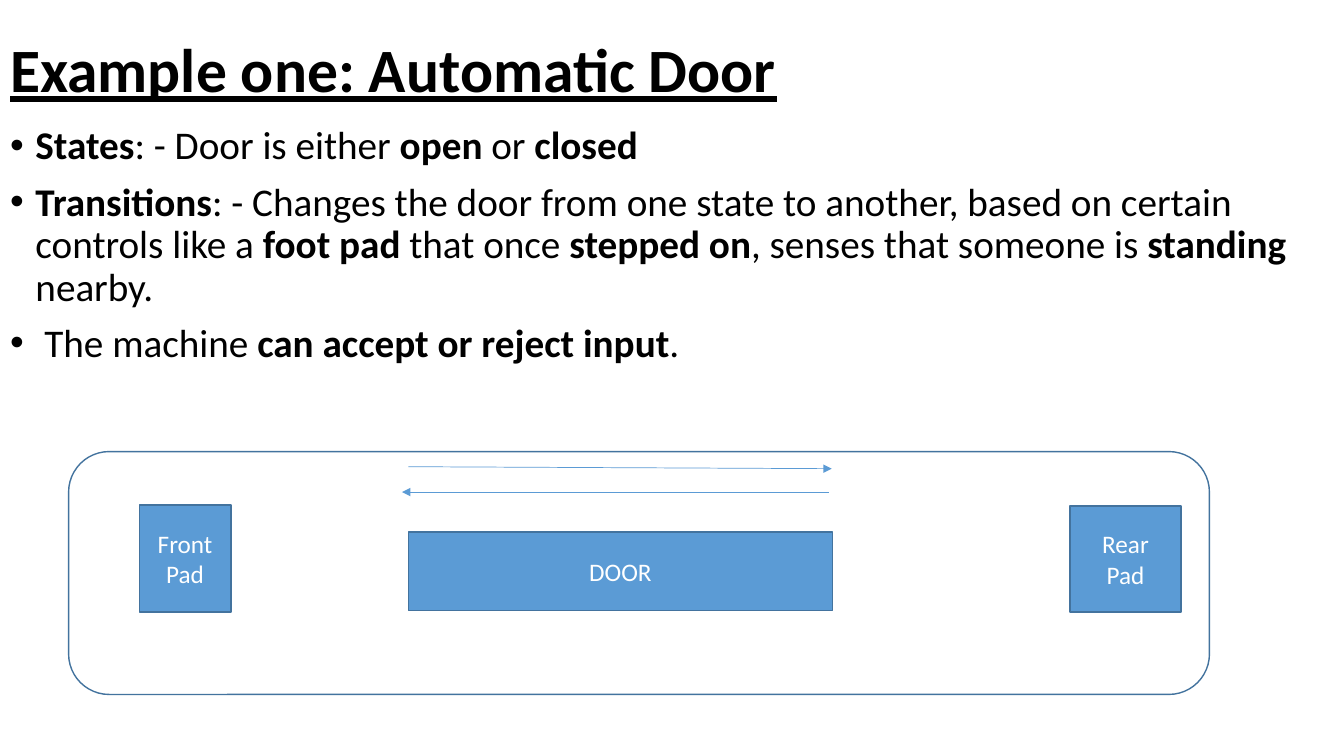
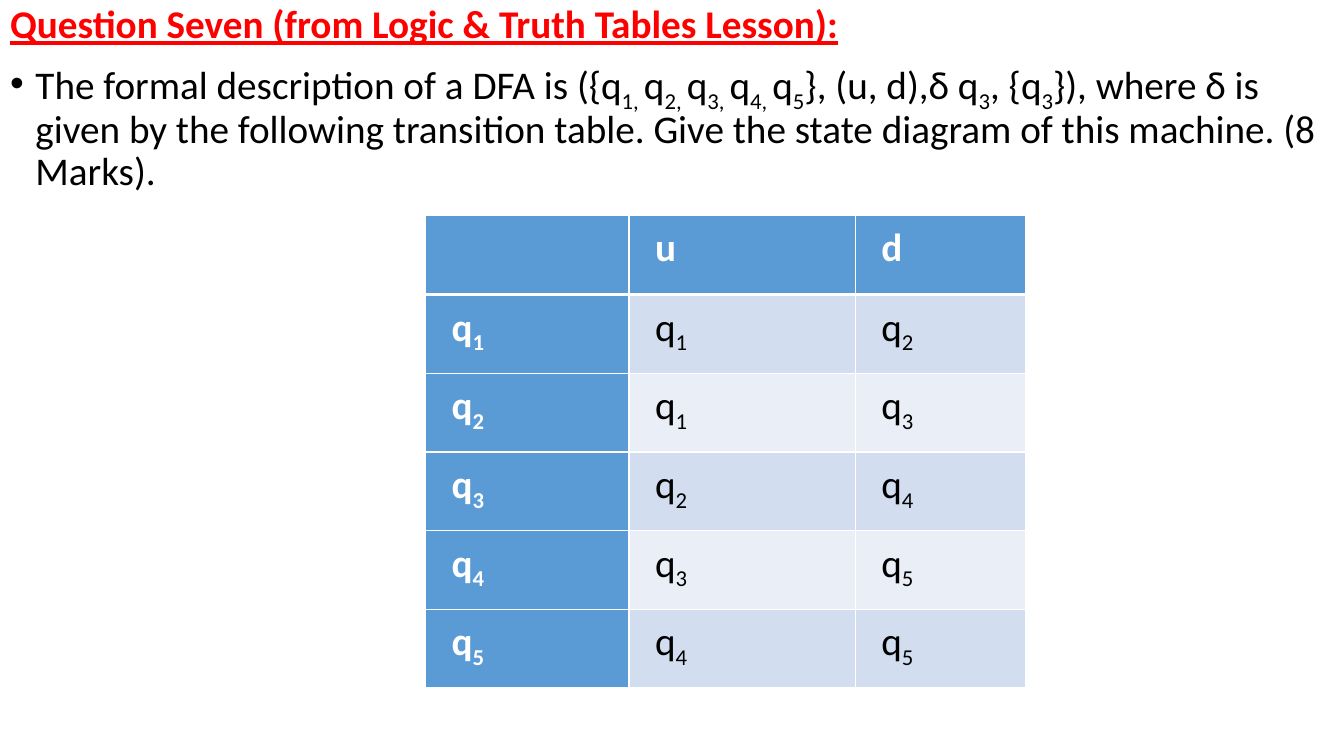
from dataclasses import dataclass
from enum import Enum

from lxml.etree import SubElement
from pptx import Presentation
from pptx.dml.color import RGBColor
from pptx.enum.shapes import MSO_CONNECTOR as Connector, MSO_SHAPE as Shape
from pptx.enum.text import MSO_ANCHOR as Anchor, MSO_AUTO_SIZE as AutoSize, PP_ALIGN as Align
from pptx.oxml.ns import qn
from pptx.util import Cm, Pt


@dataclass(frozen=True)
class Theme:
    font: str = "Calibri"
    black: str = "000000"
    white: str = "FFFFFF"
    red: str = "FF0000"
    blue: str = "5B9BD5"
    outline: str = "43739E"
    band_dark: str = "D2DEEF"
    band_light: str = "EAEFF7"
    title_size: int = 44
    body_size: int = 28
    label_size: int = 18


THEME = Theme()
WIDTH, HEIGHT = 33.87, 19.05


class Mark(Enum):
    BOLD = "bold"
    SUBSCRIPT = "subscript"


@dataclass(frozen=True)
class Box:
    left: float
    top: float
    width: float
    height: float

    def lengths(self):
        return Cm(self.left), Cm(self.top), Cm(self.width), Cm(self.height)


@dataclass(frozen=True)
class Block:
    box: Box
    label: str = ""
    kind: Shape = Shape.RECTANGLE
    filled: bool = True


@dataclass(frozen=True)
class Arrow:
    x1: float
    y1: float
    x2: float
    y2: float


@dataclass(frozen=True)
class Point:
    text: str
    mark: Mark = Mark.BOLD
    heading: bool = False


def rgb(value: str) -> RGBColor:
    return RGBColor.from_string(value)


def style(run, size: int, color: str, bold: bool = False, underline: bool = False) -> None:
    font = run.font
    font.name, font.size, font.bold, font.underline = THEME.font, Pt(size), bold, underline
    font.color.rgb = rgb(color)


def add_marked(p, text: str, mark: Mark, color: str, bold: bool = False) -> None:
    for i, part in enumerate(text.split("|")):
        if not part:
            continue
        r = p.add_run()
        r.text = part
        marked = i % 2 == 1
        style(r, THEME.body_size, color, bold or (marked and mark is Mark.BOLD))
        if marked and mark is Mark.SUBSCRIPT:
            r.font._element.set("baseline", "-25000")


def set_indent(p, left: float, first: float):
    p_pr = p._p.get_or_add_pPr()
    p_pr.set("marL", str(Cm(left)))
    p_pr.set("indent", str(Cm(first)))
    return p_pr


def place(sp, box: Box):
    sp.left, sp.top, sp.width, sp.height = box.lengths()
    tf = sp.text_frame
    tf.auto_size, tf.word_wrap = AutoSize.NONE, True
    return tf


def fill_title(sp, text: str) -> None:
    tf = place(sp, Box(0, 0, WIDTH, 3.68))
    tf.vertical_anchor = Anchor.MIDDLE
    tf.text = text
    p = tf.paragraphs[0]
    p.alignment, p.line_spacing = Align.LEFT, 0.9
    style(p.runs[0], THEME.title_size, THEME.black, bold=True, underline=True)


def fill_body(sp, box: Box, points: list[Point]) -> None:
    tf = place(sp, box)
    for i, point in enumerate(points):
        p = tf.add_paragraph() if i else tf.paragraphs[0]
        if point.heading:
            SubElement(set_indent(p, 0, 0), qn("a:buNone"))
            p.text = point.text
            style(p.runs[0], THEME.body_size, THEME.red, bold=True, underline=True)
        else:
            p_pr = set_indent(p, 0.64, -0.64)
            SubElement(p_pr, qn("a:buFont"), typeface="Arial")
            SubElement(p_pr, qn("a:buChar"), char="•")
            add_marked(p, point.text, point.mark, THEME.black)
        p.line_spacing, p.space_before = 0.9, Pt(10)


def add_block(shapes, block: Block) -> None:
    sp = shapes.add_shape(block.kind, *block.box.lengths())
    sp.shadow.inherit = False
    sp.line.color.rgb, sp.line.width = rgb(THEME.outline), Pt(1)
    if block.filled:
        sp.fill.solid()
        sp.fill.fore_color.rgb = rgb(THEME.blue)
    else:
        sp.fill.background()
    if block.label:
        tf = sp.text_frame
        tf.text = block.label
        tf.word_wrap, tf.vertical_anchor = True, Anchor.MIDDLE
        for p in tf.paragraphs:
            p.alignment = Align.CENTER
            style(p.runs[0], THEME.label_size, THEME.white)


def add_arrow(shapes, arrow: Arrow) -> None:
    line = shapes.add_connector(
        Connector.STRAIGHT, Cm(arrow.x1), Cm(arrow.y1), Cm(arrow.x2), Cm(arrow.y2))
    line.line.color.rgb, line.line.width = rgb(THEME.blue), Pt(0.5)
    sp_pr = line._element.spPr
    SubElement(sp_pr.find(qn("a:ln")), qn("a:tailEnd"), type="triangle")
    SubElement(sp_pr, qn("a:effectLst"))


def set_borders(cell, top: float, bottom: float) -> None:
    tc_pr = cell._tc.get_or_add_tcPr()
    widths = {"lnL": 1, "lnR": 1, "lnT": top, "lnB": bottom}
    for i, (side, width) in enumerate(widths.items()):
        ln = SubElement(tc_pr, qn(f"a:{side}"), w=str(Pt(width)))
        solid = SubElement(ln, qn("a:solidFill"))
        SubElement(solid, qn("a:srgbClr"), val=THEME.white)
        tc_pr.insert(i, ln)


def fill_cell(cell, text: str, row: int, col: int) -> None:
    header = row == 0 or col == 0
    band = THEME.band_dark if row % 2 else THEME.band_light
    cell.fill.solid()
    cell.fill.fore_color.rgb = rgb(THEME.blue if header else band)
    set_borders(cell, top=3 if row == 1 else 1, bottom=3 if row == 0 else 1)
    cell.margin_left, cell.margin_right = Cm(0.18), Cm(0.2)
    cell.margin_top, cell.margin_bottom = Cm(0.03), Cm(0)
    p = cell.text_frame.paragraphs[0]
    set_indent(p, 0.51, -0.03)
    p.alignment, p.line_spacing = Align.JUSTIFY, 1.15
    add_marked(p, text, Mark.SUBSCRIPT, THEME.white if header else THEME.black, bold=header)


def add_transition_table(slide, box: Box, widths: list[float], rows: list[list[str]]) -> None:
    table = slide.shapes.add_table(len(rows), len(widths), *box.lengths()).table
    for column, width in zip(table.columns, widths):
        column.width = Cm(width)
    for i, row in enumerate(rows):
        table.rows[i].height = Cm(box.height / len(rows))
        for j, text in enumerate(row):
            fill_cell(table.cell(i, j), text, i, j)


def build_door_slide(prs) -> None:
    slide = prs.slides.add_slide(prs.slide_layouts[1])
    fill_title(slide.shapes.title, "Example one: Automatic Door")
    fill_body(slide.placeholders[1], Box(0, 3.05, WIDTH, 16), [
        Point("|States|: - Door is either |open| or |closed|"),
        Point("|Transitions|: - Changes the door from one state to another, based on certain "
              "controls like a |foot pad |that once |stepped on|, senses that someone is "
              "|standing| nearby."),
        Point(" The machine |can accept or reject input|."),
    ])
    shapes = slide.shapes.add_group_shape().shapes
    for block in (
        Block(Box(1.73, 11.38, 28.75, 6.12), kind=Shape.ROUNDED_RECTANGLE, filled=False),
        Block(Box(3.51, 12.73, 2.31, 2.69), "Front Pad"),
        Block(Box(26.97, 12.75, 2.79, 2.67), "Rear\nPad"),
        Block(Box(10.29, 13.41, 10.69, 1.98), "DOOR"),
    ):
        add_block(shapes, block)
    for arrow in (Arrow(10.29, 11.76, 20.96, 11.81), Arrow(20.88, 12.4, 10.13, 12.4)):
        add_arrow(shapes, arrow)


def build_question_slide(prs) -> None:
    slide = prs.slides.add_slide(prs.slide_layouts[1])
    title = slide.shapes.title._element
    title.getparent().remove(title)
    fill_body(slide.placeholders[1], Box(0, 0, WIDTH, HEIGHT), [
        Point("Question Seven (from Logic & Truth Tables Lesson):", heading=True),
        Point("The formal description of a DFA is ({q|1, |q|2, |q|3, |q|4, |q|5|}, (u, d),δ q|3|, "
              "{q|3|}), where δ is given by the following transition table. Give the state "
              "diagram of this machine. (8 Marks).", Mark.SUBSCRIPT),
    ])
    moves = [(1, 1, 2), (2, 1, 3), (3, 2, 4), (4, 3, 5), (5, 4, 5)]
    rows = [["", "u", "d"]] + [[f"q|{state}|" for state in move] for move in moves]
    widths = [5.13, 5.7, 4.29]
    add_transition_table(slide, Box(10.72, 5.44, sum(widths), 11.9), widths, rows)


def main() -> None:
    prs = Presentation()
    prs.slide_width, prs.slide_height = Cm(WIDTH), Cm(HEIGHT)
    build_door_slide(prs)
    build_question_slide(prs)
    prs.save("out.pptx")


if __name__ == "__main__":
    main()
